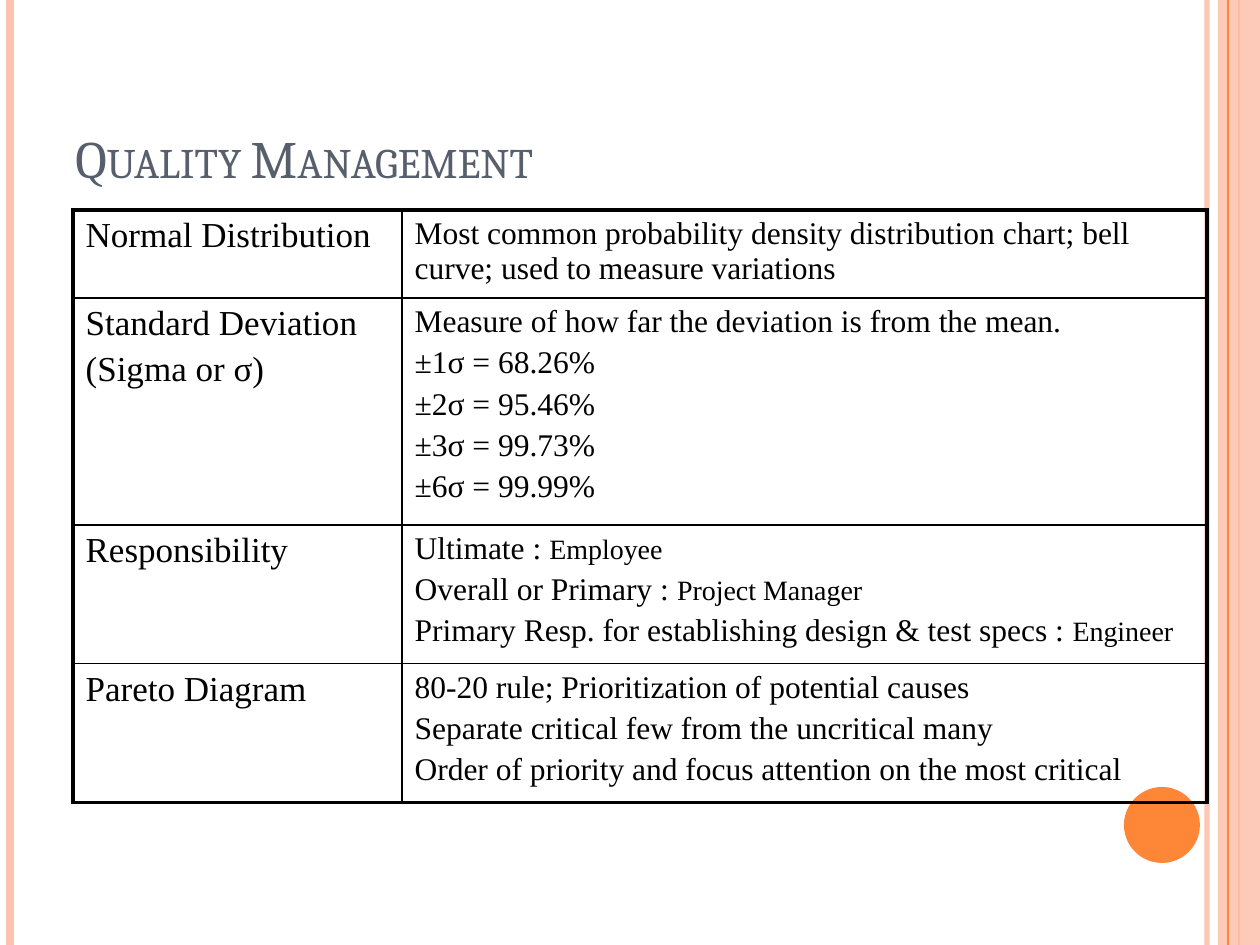
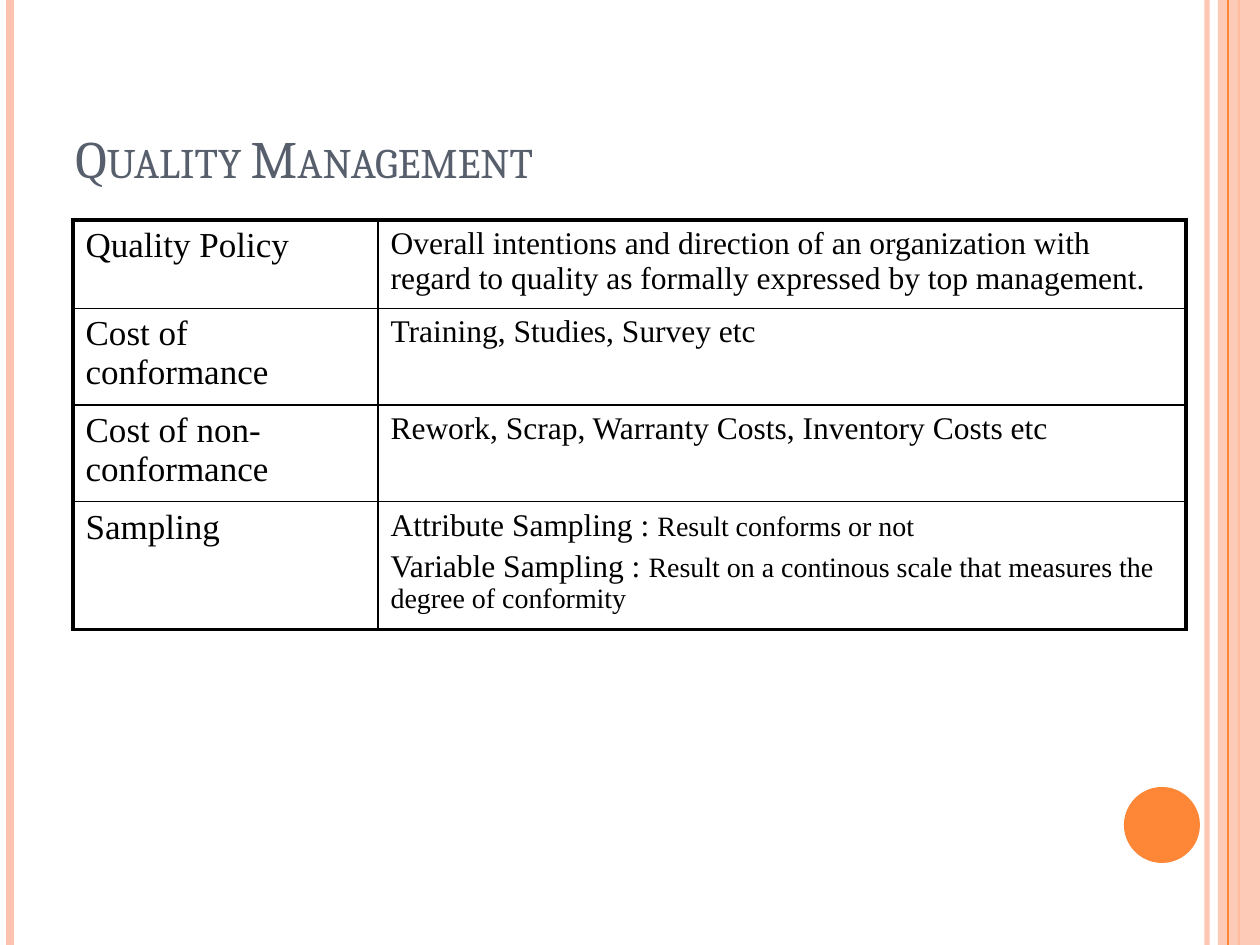
from dataclasses import dataclass

from lxml import etree
from pptx import Presentation
from pptx import util as u
from pptx.dml import color
from pptx.enum import shapes, text
from pptx.oxml import ns

PX_PER_INCH = 126
SLIDE_WIDTH, SLIDE_HEIGHT = 1260, 945

BLACK = "000000"
PEACH = "FEC3AE"
ORANGE = "FE8637"
SLATE = "575F6D"

TITLE_FONT = "Cambria"
TABLE_FONT = "Times New Roman"
TERM_SIZE, LEAD_SIZE, DETAIL_SIZE = 20, 18, 16
OUTER_BORDER, INNER_BORDER = 2.25, 1
SEPARATOR = " : "


@dataclass(frozen=True)
class Stripe:
    x: int
    weight: float
    colour: str
    opacity: int = 100


@dataclass(frozen=True)
class Block:
    kind: shapes.MSO_SHAPE
    left: int
    top: int
    width: int
    height: int
    colour: str
    opacity: int = 100


@dataclass(frozen=True)
class Row:
    height: int
    term: list[str]
    meaning: list[str]


@dataclass(frozen=True)
class GlossaryPage:
    title: str
    top: int
    widths: tuple[int, int]
    rows: list[Row]


TABLE_LEFT = 73

DECORATIONS = [
    Stripe(1207, 3, PEACH, 93),
    Stripe(10, 4.5, PEACH),
    Stripe(1239, 1.5, ORANGE),
    Block(shapes.MSO_SHAPE.RECTANGLE, 1218, 0, 42, SLIDE_HEIGHT, PEACH, 87),
    Stripe(1228, 0.75, ORANGE),
    Block(shapes.MSO_SHAPE.OVAL, 1124, 787, 76, 76, ORANGE),
]

PAGES = [
    GlossaryPage("Quality Management", 210, (329, 805), [
        Row(82, ["Normal Distribution"],
            ["Most common probability density distribution chart; bell curve; "
             "used to measure variations"]),
        Row(212, ["Standard Deviation", "(Sigma or σ)"],
            ["Measure of how far the deviation is from the mean.",
             "±1σ = 68.26%",
             "±2σ = 95.46%",
             "±3σ = 99.73%",
             "±6σ = 99.99%"]),
        Row(130, ["Responsibility"],
            ["Ultimate : Employee",
             "Overall or Primary : Project Manager",
             "Primary Resp. for establishing design & test specs : Engineer"]),
        Row(130, ["Pareto Diagram"],
            ["80-20 rule; Prioritization of potential causes",
             "Separate critical few from the uncritical many",
             "Order of priority and focus attention on the most critical"]),
    ]),
    GlossaryPage("Quality Management", 220, (305, 808), [
        Row(83, ["Quality Policy"],
            ["Overall intentions and direction of an organization with regard "
             "to quality as formally expressed by top management."]),
        Row(90, ["Cost of conformance"], ["Training, Studies, Survey etc"]),
        Row(96, ["Cost of non-conformance"],
            ["Rework, Scrap, Warranty Costs, Inventory Costs etc"]),
        Row(120, ["Sampling"],
            ["Attribute Sampling : Result conforms or not",
             "Variable Sampling : Result on a continous scale that measures "
             "the degree of conformity"]),
    ]),
]


def px(length: int) -> u.Emu:
    return u.Emu(round(length * 914400 / PX_PER_INCH))


def rgb(value: str) -> color.RGBColor:
    return color.RGBColor.from_string(value)


def set_opacity(element, percent: int) -> None:
    if percent < 100:
        for tint in element.iter(ns.qn("a:srgbClr")):
            etree.SubElement(tint, ns.qn("a:alpha"), val=str(percent * 1000))


def style_font(font, name: str, size: float, colour: str) -> None:
    font.name = name
    font.size = u.Pt(size)
    font.color.rgb = rgb(colour)


def draw_stripe(page, stripe: Stripe) -> None:
    line = page.shapes.add_connector(
        shapes.MSO_CONNECTOR.STRAIGHT,
        px(stripe.x), 0, px(stripe.x), px(SLIDE_HEIGHT))
    line.line.color.rgb = rgb(stripe.colour)
    line.line.width = u.Pt(stripe.weight)
    etree.SubElement(line.element.spPr, ns.qn("a:effectLst"))
    set_opacity(line.element, stripe.opacity)


def draw_block(page, block: Block) -> None:
    shape = page.shapes.add_shape(
        block.kind, px(block.left), px(block.top),
        px(block.width), px(block.height))
    shape.shadow.inherit = False
    shape.fill.solid()
    shape.fill.fore_color.rgb = rgb(block.colour)
    shape.line.fill.background()
    set_opacity(shape.element, block.opacity)


def draw_decorations(page) -> None:
    for item in DECORATIONS:
        if isinstance(item, Stripe):
            draw_stripe(page, item)
        else:
            draw_block(page, item)


def draw_title(page, title: str) -> None:
    box = page.shapes.add_textbox(px(63), px(38), px(1029), px(157))
    frame = box.text_frame
    frame.word_wrap = True
    frame.vertical_anchor = text.MSO_ANCHOR.BOTTOM
    frame.text = title
    span = frame.paragraphs[0].runs[0]
    style_font(span.font, TITLE_FONT, 30, SLATE)
    span.font._element.set("cap", "small")


def set_borders(cell, weights: dict[str, float]) -> None:
    properties = cell._tc.get_or_add_tcPr()
    for side, weight in weights.items():
        border = etree.SubElement(
            properties, ns.qn(f"a:ln{side}"), w=str(u.Pt(weight)))
        fill = etree.SubElement(border, ns.qn("a:solidFill"))
        etree.SubElement(fill, ns.qn("a:srgbClr"), val=BLACK)


def fill_cell(cell, lines: list[str], size: int) -> None:
    frame = cell.text_frame
    for index, line in enumerate(lines):
        para = frame.add_paragraph() if index else frame.paragraphs[0]
        if index:
            para.space_before = u.Pt(size * 0.2)
        lead, separator, detail = line.partition(SEPARATOR)
        para.text = lead + separator
        style_font(para.runs[0].font, TABLE_FONT, size, BLACK)
        if detail:
            span = para.add_run()
            span.text = detail
            style_font(span.font, TABLE_FONT, DETAIL_SIZE, BLACK)


def draw_glossary(page, glossary: GlossaryPage) -> None:
    rows, widths = glossary.rows, glossary.widths
    table = page.shapes.add_table(
        len(rows), len(widths), px(TABLE_LEFT), px(glossary.top),
        px(sum(widths)), px(sum(row.height for row in rows))).table
    table.first_row = False
    table.horz_banding = False
    for column, width in zip(table.columns, widths):
        column.width = px(width)
    for row_index, row in enumerate(rows):
        table.rows[row_index].height = px(row.height)
        contents = [(row.term, TERM_SIZE), (row.meaning, LEAD_SIZE)]
        for column_index, (lines, size) in enumerate(contents):
            cell = table.cell(row_index, column_index)
            fill_cell(cell, lines, size)
            is_outer = {
                "L": column_index == 0,
                "R": column_index == len(widths) - 1,
                "T": row_index == 0,
                "B": row_index == len(rows) - 1,
            }
            set_borders(cell, {
                side: OUTER_BORDER if outer else INNER_BORDER
                for side, outer in is_outer.items()})
            cell.fill.background()


def main() -> None:
    deck = Presentation()
    deck.slide_width = px(SLIDE_WIDTH)
    deck.slide_height = px(SLIDE_HEIGHT)
    for glossary in PAGES:
        page = deck.slides.add_slide(deck.slide_layouts[6])
        draw_decorations(page)
        draw_title(page, glossary.title)
        draw_glossary(page, glossary)
    deck.save("out.pptx")


if __name__ == "__main__":
    main()
